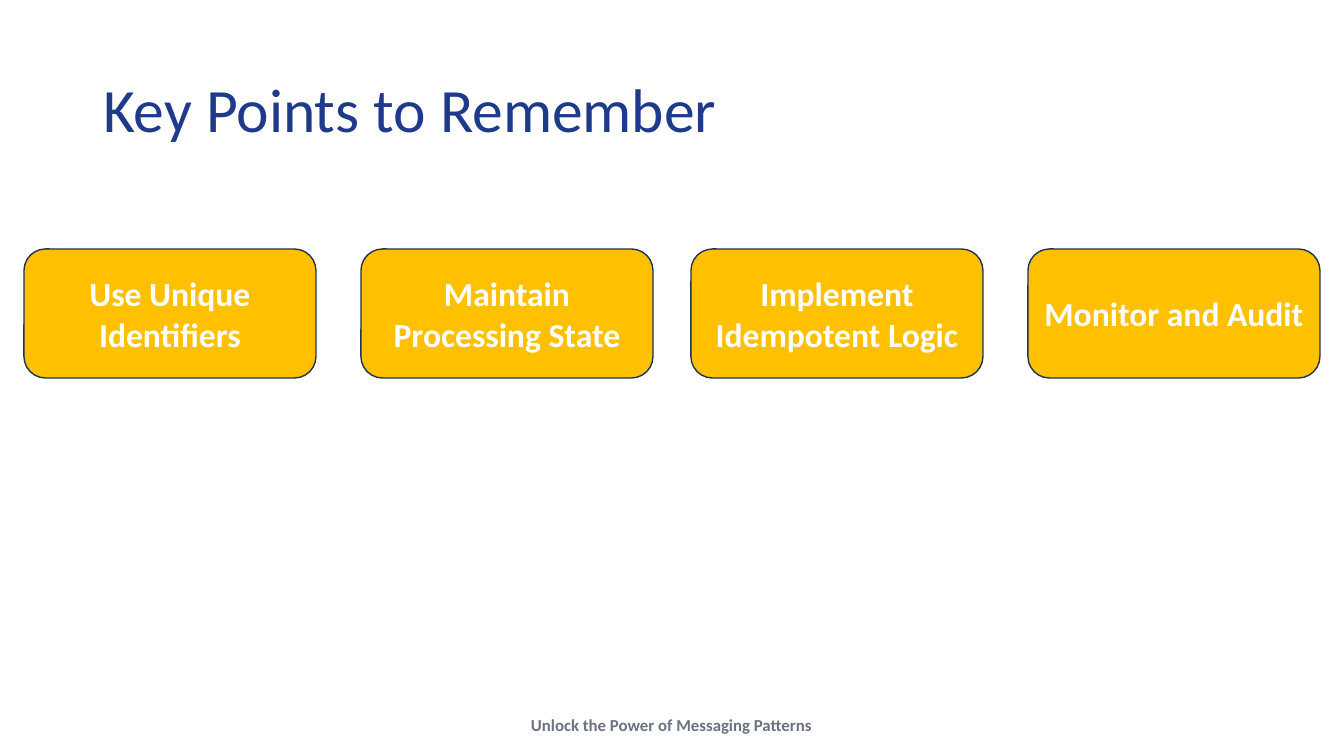
from pptx import Presentation
from pptx import util as u
from pptx.dml.color import RGBColor
from pptx.enum import shapes, text

PX_PER_INCH = 100.8
FONT = "Calibri"
NAVY = RGBColor(0x1E, 0x3A, 0x8A)
OUTLINE = RGBColor(0x1E, 0x32, 0x56)
AMBER = RGBColor(0xFF, 0xC0, 0x00)
WHITE = RGBColor(0xFF, 0xFF, 0xFF)
GRAY = RGBColor(0x6B, 0x72, 0x80)

KEY_POINTS = [
    (24, "Use Unique Identifiers"),
    (361, "Maintain Processing State"),
    (691, "Implement Idempotent Logic"),
    (1028, "Monitor and Audit"),
]


def px(length):
    return u.Inches(length / PX_PER_INCH)


def write(paragraph, words, size, color, bold, alignment):
    paragraph.alignment = alignment
    run = paragraph.add_run()
    run.text = words
    run.font.name = FONT
    run.font.size = u.Pt(size)
    run.font.bold = bold
    run.font.color.rgb = color


def place_title(slide, left, top, width, height):
    title = slide.shapes.title
    title.left, title.top, title.width, title.height = map(px, (left, top, width, height))
    frame = title.text_frame
    frame.word_wrap = True
    frame.vertical_anchor = text.MSO_ANCHOR.MIDDLE
    paragraph = frame.paragraphs[0]
    paragraph.line_spacing = 0.9
    write(paragraph, "Key Points to Remember", 44, NAVY, False, text.PP_ALIGN.LEFT)


def add_key_point(slide, words, left, top, width, height):
    shape = slide.shapes.add_shape(
        shapes.MSO_SHAPE.ROUNDED_RECTANGLE, px(left), px(top), px(width), px(height))
    shape.shadow.inherit = False
    shape.fill.solid()
    shape.fill.fore_color.rgb = AMBER
    shape.line.color.rgb = OUTLINE
    shape.line.width = u.Pt(1)
    frame = shape.text_frame
    frame.word_wrap = True
    frame.vertical_anchor = text.MSO_ANCHOR.MIDDLE
    write(frame.paragraphs[0], words, 24, WHITE, True, text.PP_ALIGN.CENTER)


def add_key_points(slide, top, width, height):
    for left, words in KEY_POINTS:
        add_key_point(slide, words, left, top, width, height)


def add_footer(slide, left, top, width, height):
    footer = slide.shapes.add_textbox(px(left), px(top), px(width), px(height))
    frame = footer.text_frame
    frame.word_wrap = False
    frame.auto_size = text.MSO_AUTO_SIZE.SHAPE_TO_FIT_TEXT
    write(frame.paragraphs[0], "Unlock the Power of Messaging Patterns",
          12, GRAY, True, text.PP_ALIGN.CENTER)


def main():
    presentation = Presentation()
    presentation.slide_width = px(1344)
    presentation.slide_height = px(756)
    slide = presentation.slides.add_slide(presentation.slide_layouts[5])
    slide.background.fill.solid()
    slide.background.fill.fore_color.rgb = WHITE
    add_footer(slide, 519, 710, 305, 30)
    place_title(slide, 93, 40, 1159, 146)
    add_key_points(slide, 249, 292, 129)
    presentation.save("out.pptx")


if __name__ == "__main__":
    main()
